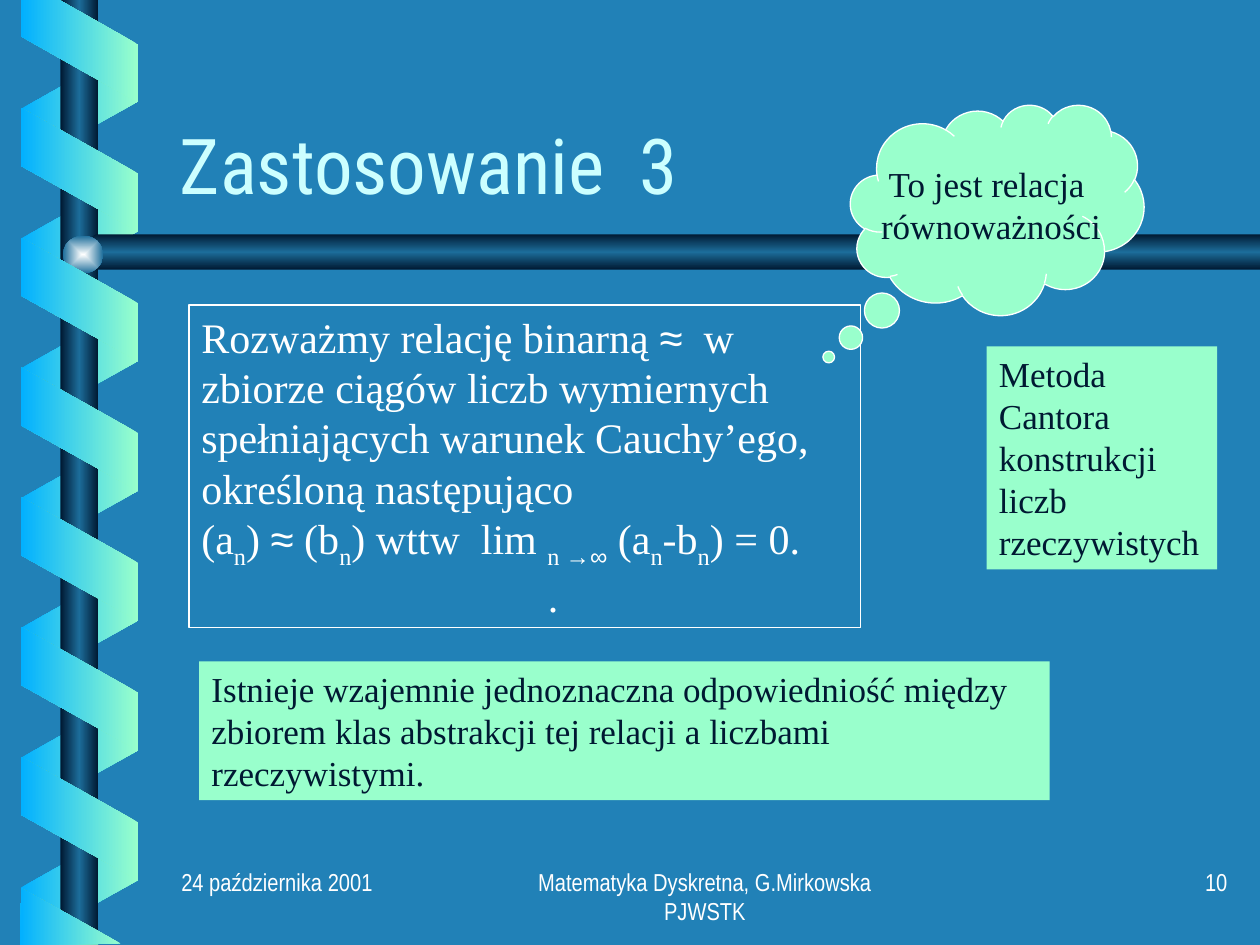
from dataclasses import dataclass
from typing import Optional

from pptx import Presentation
from pptx.dml.color import RGBColor
from pptx.enum import shapes, text
from pptx.oxml import parse_xml
from pptx.oxml.ns import nsdecls, qn
from pptx.util import Inches, Pt

SHAPE = shapes.MSO_SHAPE
ALIGN = text.PP_ALIGN
ANCHOR = text.MSO_ANCHOR


@dataclass(frozen=True)
class Theme:
    background: str = "2181B7"
    blue: str = "01B0FF"
    mint: str = "99FFCC"
    navy: str = "001932"
    steel: str = "1C6D9A"
    glow: str = "FEFFFF"
    title: str = "CCFFFF"
    white: str = "FFFFFF"
    title_font: str = "Roboto Condensed"
    body_font: str = "Times New Roman"
    symbol_font: str = "Arial"
    footer_font: str = "Arial Narrow"
    title_size: int = 44
    body_size: int = 24
    note_size: int = 20
    footer_size: int = 14


THEME = Theme()


@dataclass(frozen=True)
class Box:
    left: float
    top: float
    width: float
    height: float

    def emu(self) -> tuple:
        return tuple(Inches(v) for v in (self.left, self.top, self.width, self.height))


@dataclass(frozen=True)
class Style:
    font: str
    size: int
    color: str
    align: ALIGN = ALIGN.LEFT
    anchor: ANCHOR = ANCHOR.TOP
    wrap: bool = True
    grow: bool = False


@dataclass(frozen=True)
class Piece:
    text: str
    subscript: bool = False
    symbol: bool = False


NOTE = Style(THEME.body_font, THEME.note_size, THEME.navy, grow=True)


def rgb(value: str) -> RGBColor:
    return RGBColor.from_string(value)


def set_gradient(shape, colors: list, angle: Optional[int] = None) -> None:
    """Evenly spaced stops; without an angle the gradient runs from the centre."""
    step = 100000 // (len(colors) - 1)
    stops = "".join(f'<a:gs pos="{i * step}"><a:srgbClr val="{color}"/></a:gs>'
                    for i, color in enumerate(colors))
    if angle is None:
        course = ('<a:path path="rect"><a:fillToRect l="50000" t="50000" '
                  'r="50000" b="50000"/></a:path>')
    else:
        course = f'<a:lin ang="{angle * 60000}" scaled="0"/>'
    shape.fill.gradient()
    properties = shape._element.spPr
    properties.replace(properties.find(qn("a:gradFill")), parse_xml(
        f'<a:gradFill {nsdecls("a")} rotWithShape="0"><a:gsLst>{stops}</a:gsLst>{course}</a:gradFill>'))


def add_preset(slide, kind, box: Box, fill: Optional[str] = None, line: Optional[str] = None):
    shape = slide.shapes.add_shape(kind, *box.emu())
    shape.shadow.inherit = False
    if fill:
        shape.fill.solid()
        shape.fill.fore_color.rgb = rgb(fill)
    else:
        shape.fill.background()
    if line:
        shape.line.color.rgb = rgb(line)
        shape.line.width = Pt(0.75)
    else:
        shape.line.fill.background()
    return shape


def add_outline(slide, points: list):
    corners = [(Inches(x), Inches(y)) for x, y in points]
    builder = slide.shapes.build_freeform(*corners[0])
    builder.add_line_segments(corners[1:], close=True)
    shape = builder.convert_to_shape()
    shape.shadow.inherit = False
    shape.line.fill.background()
    return shape


def add_ribbon(slide, top: float, front: bool) -> None:
    shape = add_preset(slide, SHAPE.PARALLELOGRAM, Box(0.14, top, 0.98, 0.93))
    shape.adjustments[0] = 0.56
    shape.rotation = 270 if front else 90
    if not front:
        shape._element.spPr.find(qn("a:xfrm")).set("flipH", "1")
    colors = [THEME.mint, THEME.blue]
    set_gradient(shape, colors if front else colors[::-1], 180)


def write(shape, style: Style, lines: list):
    """Fill a shape with one paragraph; each line is a list of pieces."""
    frame = shape.text_frame
    frame.word_wrap = style.wrap
    frame.vertical_anchor = style.anchor
    if style.grow:
        frame.auto_size = text.MSO_AUTO_SIZE.SHAPE_TO_FIT_TEXT
    paragraph = frame.paragraphs[0]
    paragraph.alignment = style.align
    paragraph.font.size = Pt(style.size)
    paragraph.font.color.rgb = rgb(style.color)
    paragraph.font.name = style.font
    for index, line in enumerate(lines):
        if index:
            paragraph.add_line_break()
        for piece in line:
            run = paragraph.add_run()
            run.text = piece.text
            if piece.symbol:
                run.font.name = THEME.symbol_font
            if piece.subscript:
                run.font._element.set("baseline", "-25000")
    return paragraph


def add_label(slide, box: Box, style: Style, words: str):
    return write(slide.shapes.add_textbox(*box.emu()), style, [[Piece(words)]])


def draw_decoration(slide) -> None:
    # Ribbon parts behind the pole
    for i in range(7):
        add_ribbon(slide, 0.37 + 1.03 * i, front=False)

    # Pole, crossbar and glowing joint
    bar_colors = [THEME.navy, THEME.steel, THEME.navy]
    set_gradient(add_preset(slide, SHAPE.RECTANGLE, Box(0.48, 0, 0.3, 7.5)), bar_colors, 180)
    crossbar = add_outline(slide, [(10, 1.86), (0.76, 1.86), (0.6, 2), (0.76, 2.14), (10, 2.14)])
    set_gradient(crossbar, bar_colors, 90)
    joint = add_preset(slide, SHAPE.OVAL, Box(0.5, 1.87, 0.32, 0.3))
    set_gradient(joint, [THEME.glow, THEME.steel])

    # Ribbon parts in front of the pole, with cut ends
    for i in range(6):
        add_ribbon(slide, 0.88 + 1.03 * i, front=True)
    for points in ([(0.17, 0), (0.17, 0.29), (1.09, 0.81), (1.09, 0.35), (0.47, 0)],
                   [(0.96, 7.49), (0.17, 7.05), (0.16, 7.5)]):
        set_gradient(add_outline(slide, points), [THEME.mint, THEME.blue], 180)


def draw_content(slide) -> None:
    # Title
    title = add_label(slide, Box(1.33, 0.46, 8.5, 1.25),
                      Style(THEME.title_font, THEME.title_size, THEME.title, anchor=ANCHOR.BOTTOM),
                      "Zastosowanie  3")
    title.line_spacing = 0.8

    # Definition of the relation
    definition = add_preset(slide, SHAPE.RECTANGLE, Box(1.5, 2.42, 5.33, 2.56), line=THEME.white)
    index, almost = Piece("n", subscript=True), Piece("≈", symbol=True)
    paragraph = write(definition, Style(THEME.body_font, THEME.body_size, THEME.white, grow=True), [
        [Piece("Rozważmy relację binarną "), almost,
         Piece("  w zbiorze ciągów liczb wymiernych spełniających warunek Cauchy’ego, "
               "określoną następująco")],
        [Piece("(a"), index, Piece(") "), almost, Piece(" (b"), index, Piece(") wttw  lim "),
         Piece("n ", subscript=True), Piece("→∞", subscript=True, symbol=True),
         Piece(" (a"), index, Piece("-b"), index, Piece(") = 0.")],
        [Piece("\t.")],
    ])
    tabs = parse_xml(f'<a:tabLst {nsdecls("a")}><a:tab pos="{Inches(2.75)}" algn="l"/></a:tabLst>')
    paragraph._p.pPr.find(qn("a:defRPr")).addprevious(tabs)

    # Thought cloud
    cloud = add_preset(slide, SHAPE.CLOUD_CALLOUT, Box(6.75, 0.83, 2.33, 1.67), THEME.mint, THEME.white)
    cloud.adjustments[0], cloud.adjustments[1] = -0.574, 0.7
    write(cloud, Style(THEME.body_font, THEME.note_size, THEME.navy, ALIGN.CENTER, ANCHOR.MIDDLE, wrap=False),
          [[Piece("To jest relacja")], [Piece(" równoważności")]])

    # Notes
    for box, words in (
        (Box(1.58, 5.25, 6.75, 1.1), "Istnieje wzajemnie jednoznaczna odpowiedniość między zbiorem "
                                     "klas abstrakcji tej relacji a liczbami rzeczywistymi."),
        (Box(7.83, 2.75, 1.83, 1.77), "Metoda Cantora konstrukcji liczb rzeczywistych"),
    ):
        write(add_preset(slide, SHAPE.RECTANGLE, box, THEME.mint), NOTE, [[Piece(words)]])

    # Footer
    for left, width, align, words in (
        (4.01, 3.17, ALIGN.CENTER, "Matematyka Dyskretna, G.Mirkowska PJWSTK"),
        (7.76, 2.08, ALIGN.RIGHT, "10"),
        (1.34, 2.08, ALIGN.LEFT, "24 października 2001"),
    ):
        add_label(slide, Box(left, 6.83, width, 0.5),
                  Style(THEME.footer_font, THEME.footer_size, THEME.white, align), words)


def main() -> None:
    presentation = Presentation()
    presentation.slide_width, presentation.slide_height = Inches(10), Inches(7.5)
    slide = presentation.slides.add_slide(presentation.slide_layouts[6])
    slide.background.fill.solid()
    slide.background.fill.fore_color.rgb = rgb(THEME.background)
    draw_decoration(slide)
    draw_content(slide)
    presentation.save("out.pptx")


if __name__ == "__main__":
    main()
